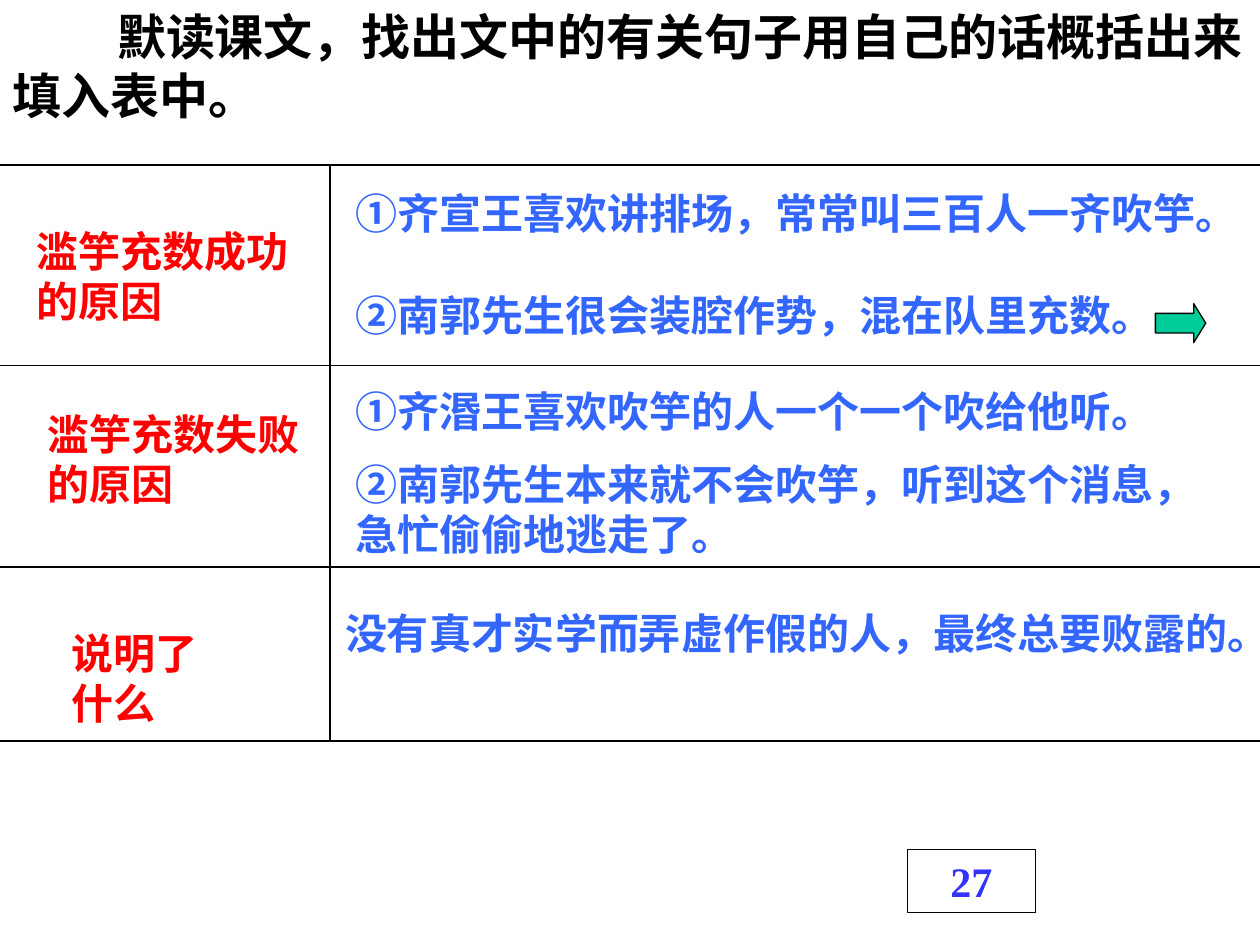
from pptx import Presentation
from pptx.dml.color import RGBColor
from pptx.enum.shapes import MSO_CONNECTOR as Connector, MSO_SHAPE as Shape
from pptx.enum.text import MSO_ANCHOR as Anchor, PP_ALIGN as Align
from pptx.oxml.ns import qn
from pptx.util import Inches, Pt
from lxml.etree import SubElement

BLACK = RGBColor(0, 0, 0)
WHITE = RGBColor(255, 255, 255)
RED = RGBColor(255, 0, 0)
BLUE = RGBColor(0x33, 0x66, 0xFF)
NUMBER_BLUE = RGBColor(0x33, 0x33, 0xFF)
GREEN = RGBColor(0, 0xCC, 0x99)

FONT = "Times New Roman"
SLIDE_WIDTH = 10
COLUMN_EDGE = 2.62
ROW_EDGES = [1.31, 2.9, 4.5, 5.88]

HEADINGS = [
    (0.19, 1.74, 2.24, 0.9, "滥竽充数成功的原因"),
    (0.28, 3.19, 2.24, 0.9, "滥竽充数失败的原因"),
    (0.47, 4.93, 1.49, 0.9, "说明了什么"),
]
ANSWERS = [
    (2.72, 1.44, 7.09, 0.9, "①齐宣王喜欢讲排场，常常叫三百人一齐吹竽。"),
    (2.72, 2.25, 7.09, 0.5, "②南郭先生很会装腔作势，混在队里充数。"),
    (2.72, 3.01, 7.28, 0.5, "①齐湣王喜欢吹竽的人一个一个吹给他听。"),
    (2.72, 3.59, 6.93, 0.9, "②南郭先生本来就不会吹竽，听到这个消息，急忙偷偷地逃走了。"),
    (2.64, 4.77, 7.36, 0.9, "没有真才实学而弄虚作假的人，最终总要败露的。"),
]


def write_text(shape, text, color, size=24, align=Align.LEFT):
    frame = shape.text_frame
    frame.word_wrap = True
    frame.vertical_anchor = Anchor.TOP
    frame.text = text
    paragraph = frame.paragraphs[0]
    paragraph.alignment = align
    font = paragraph.runs[0].font
    font.name = FONT
    font.size = Pt(size)
    font.bold = True
    font.color.rgb = color
    return paragraph


def add_title(slide, text):
    title = slide.shapes.title
    title.left, title.top = Inches(0), Inches(0)
    title.width, title.height = Inches(SLIDE_WIDTH), Inches(1.04)
    paragraph = write_text(title, text, BLACK, size=28)
    paragraph._p.get_or_add_pPr().set("indent", str(Inches(0.83)))


def add_text(slide, left, top, width, height, text, color):
    box = slide.shapes.add_textbox(Inches(left), Inches(top), Inches(width), Inches(height))
    write_text(box, text, color)


def add_rule(slide, x1, y1, x2, y2):
    rule = slide.shapes.add_connector(
        Connector.STRAIGHT, Inches(x1), Inches(y1), Inches(x2), Inches(y2))
    rule.line.color.rgb = BLACK
    rule.line.width = Pt(0.75)
    SubElement(rule._element.spPr, qn("a:effectLst"))


def add_outlined(slide, kind, left, top, width, height, fill):
    shape = slide.shapes.add_shape(
        kind, Inches(left), Inches(top), Inches(width), Inches(height))
    shape.shadow.inherit = False
    shape.fill.solid()
    shape.fill.fore_color.rgb = fill
    shape.line.color.rgb = BLACK
    shape.line.width = Pt(0.75)
    return shape


def main():
    presentation = Presentation()
    presentation.slide_width = Inches(SLIDE_WIDTH)
    presentation.slide_height = Inches(7.5)
    slide = presentation.slides.add_slide(presentation.slide_layouts[5])

    add_title(slide, "默读课文，找出文中的有关句子用自己的话概括出来填入表中。")
    for y in ROW_EDGES:
        add_rule(slide, 0, y, SLIDE_WIDTH, y)
    add_rule(slide, COLUMN_EDGE, ROW_EDGES[0], COLUMN_EDGE, ROW_EDGES[-1])
    for entries, color in ((HEADINGS, RED), (ANSWERS, BLUE)):
        for entry in entries:
            add_text(slide, *entry, color)

    arrow = add_outlined(slide, Shape.RIGHT_ARROW, 9.17, 2.41, 0.4, 0.31, GREEN)
    arrow.adjustments[0] = 0.5
    arrow.adjustments[1] = 0.31
    number = add_outlined(slide, Shape.RECTANGLE, 7.2, 6.74, 1.02, 0.5, WHITE)
    write_text(number, "27", NUMBER_BLUE, align=Align.CENTER)

    presentation.save("out.pptx")


if __name__ == "__main__":
    main()
